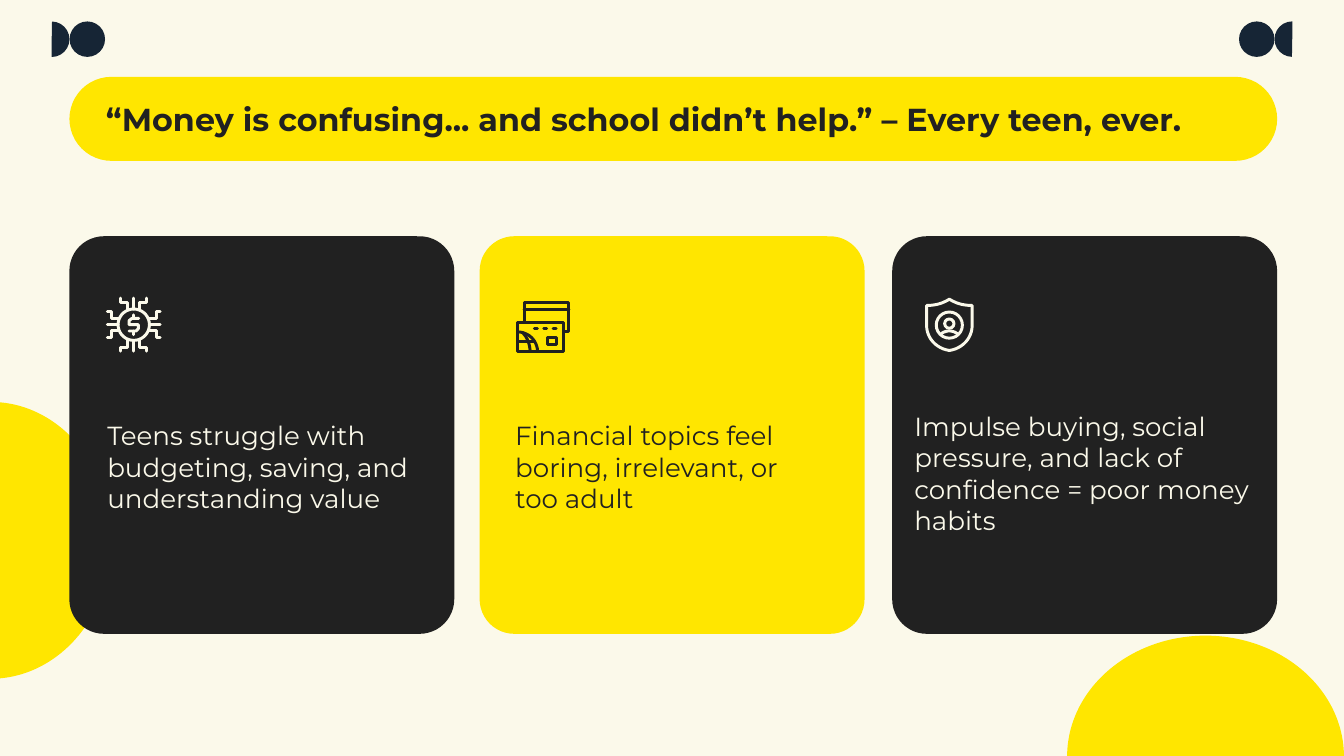
import math

import pptx
import pptx.util
import pptx.dml.color
import pptx.enum.shapes
import pptx.enum.text
import pptx.oxml.ns
import lxml.etree

Pt = pptx.util.Pt
KIND = pptx.enum.shapes.MSO_SHAPE
ANCHOR = pptx.enum.text.MSO_ANCHOR
qn = pptx.oxml.ns.qn

HUE = {"cream": "FBF9EA", "navy": "162535", "gold": "FFE600", "ink": "212121"}
FONT = "Montserrat"
STROKE = 1.6


def tint(name):
    return pptx.dml.color.RGBColor.from_string(HUE[name])


def solid(slide, kind, box, hue, adjust=(), turn=0):
    """Filled preset shape without an outline."""
    shape = slide.shapes.add_shape(kind, *map(Pt, box))
    shape.shadow.inherit = False
    shape.fill.solid()
    shape.fill.fore_color.rgb = tint(hue)
    shape.line.fill.background()
    for i, value in enumerate(adjust):
        shape.adjustments[i] = value
    shape.rotation = turn


def write(slide, box, words, size, hue, bold=False, anchor=ANCHOR.TOP):
    frame = slide.shapes.add_textbox(*map(Pt, box)).text_frame
    frame.word_wrap = True
    frame.margin_left = frame.margin_right = 0
    frame.margin_top = frame.margin_bottom = 0
    frame.vertical_anchor = anchor
    frame.text = words
    font = frame.paragraphs[0].runs[0].font
    font.name, font.size, font.bold = FONT, Pt(size), bold
    font.color.rgb = tint(hue)


def ink(shape, hue):
    """Round-ended icon stroke."""
    shape.line.width = Pt(STROKE)
    shape.line.color.rgb = tint(hue)
    shape.element.spPr.find(qn("a:ln")).set("cap", "rnd")


def hollow(slide, kind, box, hue):
    shape = slide.shapes.add_shape(kind, *map(Pt, box))
    shape.shadow.inherit = False
    shape.fill.background()
    ink(shape, hue)


def ring(slide, x, y, r, hue):
    hollow(slide, KIND.OVAL, (x - r, y - r, 2 * r, 2 * r), hue)


def trace(slide, x, y, hue, *strokes, close=False):
    """One outline made of strokes, given relative to x, y."""
    path = None
    for stroke in strokes:
        dots = [(Pt(x + a), Pt(y + b)) for a, b in stroke]
        if path is None:
            path = slide.shapes.build_freeform(*dots[0])
        else:
            path.move_to(*dots[0])
        path.add_line_segments(dots[1:], close=close)
    shape = path.convert_to_shape()
    shape.shadow.inherit = False
    shape.fill.background()
    ink(shape, hue)


def bar(slide, x1, y1, x2, y2, hue):
    line = slide.shapes.add_connector(
        pptx.enum.shapes.MSO_CONNECTOR.STRAIGHT, *map(Pt, (x1, y1, x2, y2)))
    ink(line, hue)
    lxml.etree.SubElement(line.element.spPr, qn("a:effectLst"))


def bend(a, b, c, d, steps=12):
    """Points along a cubic curve from a to d."""
    dots = []
    for i in range(steps + 1):
        t = i / steps
        u = 1 - t
        parts = (u ** 3, 3 * u * u * t, 3 * u * t * t, t ** 3)
        dots.append(tuple(sum(k * p[n] for k, p in zip(parts, (a, b, c, d)))
                          for n in (0, 1)))
    return dots


def coin(slide, x, y, hue):
    # Rim and circuit legs, mirrored into the four quarters
    angles = [math.radians(10 * i) for i in range(37)]
    rim = [(8.4 * math.cos(t), 8.4 * math.sin(t)) for t in angles]
    leg = [(3.3, 7.8), (3.3, 12), (7, 12), (7, 14.2)]
    legs = []
    for sx in (-1, 1):
        for sy in (-1, 1):
            legs.append([(sx * a, sy * b) for a, b in leg])
            legs.append([(sx * b, sy * a) for a, b in leg])
        legs.append([(0, sx * 8.4), (0, sx * 14.2)])
        legs.append([(sx * 8.4, 0), (sx * 14.2, 0)])
    trace(slide, x, y, hue, rim, *legs)
    # Dollar sign
    curl = [(2.6, -3.4), (-1, -3.4), (-2.5, -2.2), (-2.5, 0),
            (2.5, 0), (2.5, 2), (1.2, 3.4), (-2.6, 3.4)]
    trace(slide, x, y, hue, curl,
          [(0, -5.3), (0, -3.4)], [(0, 3.4), (0, 5.3)])


def cards(slide, x, y, hue):
    # Back card
    trace(slide, x, y, hue,
          [(3.5, 10), (3.5, 0), (27.5, 0), (27.5, 15.5), (24.9, 15.5)])
    bar(slide, x + 3.5, y + 3.6, x + 27.5, y + 3.6, hue)
    # Front card with its dashes, chip and fan
    hollow(slide, KIND.RECTANGLE, (x, y + 10.7, 24.4, 15.5), hue)
    for i in range(3):
        left = x + 9 + 5 * i
        bar(slide, left, y + 13.8, left + 1.6, y + 13.8, hue)
    hollow(slide, KIND.RECTANGLE, (x + 15.8, y + 19, 5.2, 3.6), hue)
    trace(slide, x, y, hue,
          bend((0, 15.8), (6, 16), (10.5, 20.5), (10.7, 26.2)),
          bend((2.7, 16.3), (5, 18.5), (6.5, 22), (6.7, 26.2)))
    bar(slide, x, y + 21, x + 9, y + 21, hue)


def shield(slide, x, y, hue):
    half = (bend((0, -13.7), (-3.6, -11.4), (-7.5, -10.3), (-12.2, -10.3))
            + bend((-12.2, 0.3), (-12.2, 7.2), (-7, 12.8), (0, 13.8)))
    whole = half + [(-a, b) for a, b in half[-2:0:-1]]
    trace(slide, x, y, hue, whole, close=True)
    # Person in a ring
    ring(slide, x, y + 0.2, 7, hue)
    ring(slide, x, y - 0.6, 2.5, hue)
    trace(slide, x, y, hue,
          bend((-4.4, 4.9), (-2, 2.8), (2, 2.8), (4.4, 4.9)))


def decor(slide):
    # Dots and half dots in the top corners
    for half, dot, turn in ((18.2, 37.3, 180), (682.8, 663.8, 0)):
        solid(slide, KIND.PIE, (half, 11.5, 19, 19), "navy",
              (54.58, 162), turn)
        solid(slide, KIND.OVAL, (dot, 11.5, 19, 19), "navy")
    # Large half discs
    for left, top, turn in ((581, 331.2, 90), (-69.8, 215.3, 180)):
        solid(slide, KIND.PIE, (left, top, 129.6, 148.3), "gold",
              (53.46, 162), turn)


def main():
    deck = pptx.Presentation()
    deck.slide_width, deck.slide_height = Pt(720), Pt(405)
    slide = deck.slides.add_slide(deck.slide_layouts[6])
    slide.background.fill.solid()
    slide.background.fill.fore_color.rgb = tint("cream")
    decor(slide)

    # Title
    solid(slide, KIND.ROUNDED_RECTANGLE, (37.2, 41.2, 647, 45), "gold", (0.5,))
    write(slide, (56.8, 41.2, 607, 45),
          "“Money is confusing... and school didn’t help.” – Every teen, ever.",
          17, "ink", True, ANCHOR.MIDDLE)

    # Cards: left, fill, text colour, text box, words
    panels = [
        (37.2, "ink", "cream", (57.5, 224.8, 165.6, 57.6),
         "Teens struggle with budgeting, saving, and understanding value"),
        (257, "gold", "ink", (276, 224.8, 165.6, 57.6),
         "Financial topics feel boring, irrelevant, or too adult"),
        (478, "ink", "cream", (489.8, 219.9, 202.3, 67.7),
         "Impulse buying, social pressure, and lack of confidence = "
         "poor money habits"),
    ]
    for left, fill, hue, box, words in panels:
        solid(slide, KIND.ROUNDED_RECTANGLE, (left, 126.6, 206.2, 213),
              fill, (0.09,))
        write(slide, box, words, 14, hue)

    # Icons
    coin(slide, 71.7, 174, "cream")
    cards(slide, 277.3, 162, "ink")
    shield(slide, 508.6, 174, "cream")
    deck.save("out.pptx")


if __name__ == "__main__":
    main()
